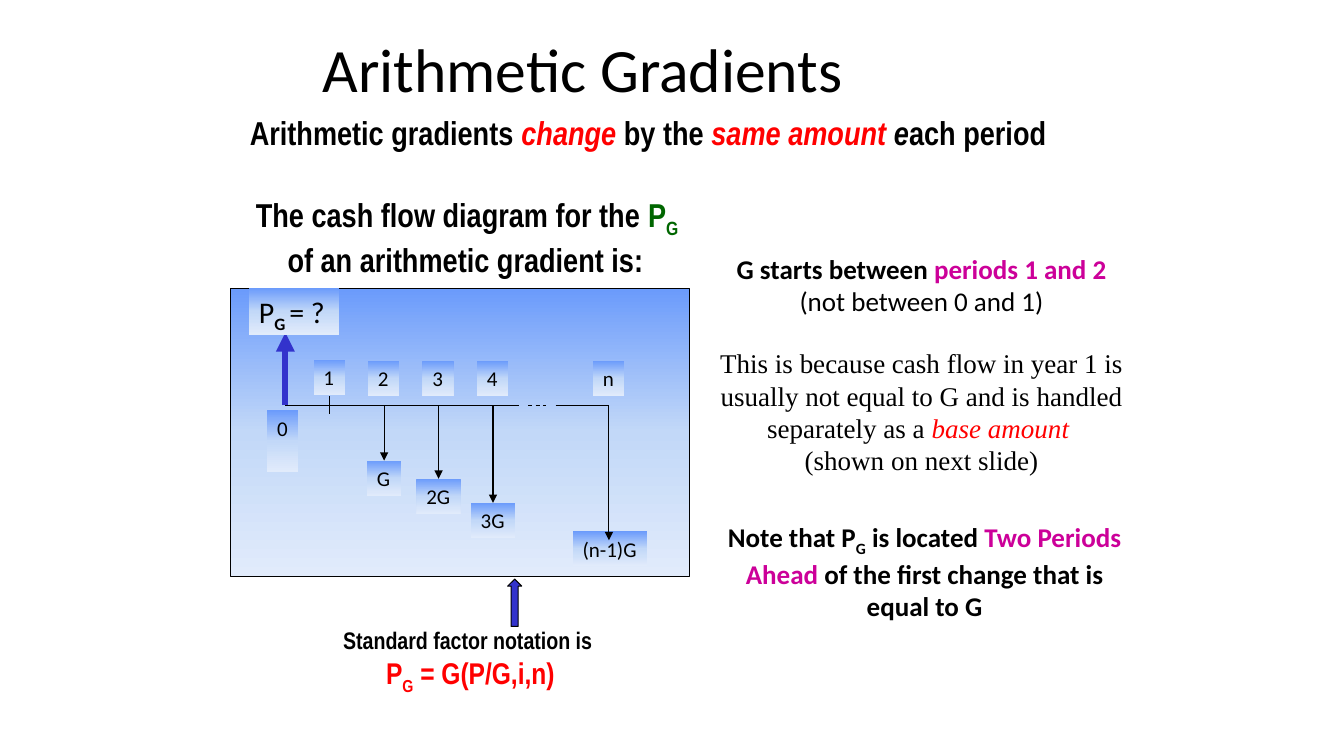
from copy import deepcopy

from lxml import etree
from pptx import Presentation
from pptx import util as u
from pptx.dml.color import RGBColor
from pptx.enum import dml, shapes, text
from pptx.oxml.ns import qn

PX = 9144  # 100 px to the inch
COLORS = {
    "black": "000000", "red": "FF0000", "green": "006600", "magenta": "CC0099",
    "indigo": "3333CC", "top": "6B9BFB", "middle": "C2D8F8", "bottom": "E1EBFB",
}
AXIS_Y = 402
FIRST_PERIOD_X, PERIOD_STEP = 327, 54
PRESENT_X, LAST_X = 283, 604


def px(*lengths):
    return [u.Emu(length * PX) for length in lengths]


def color(name):
    return RGBColor.from_string(COLORS[name])


def write(frame, paragraphs, size, font="Calibri", bold=False, align="LEFT",
          anchor="TOP", wrap=True, spacing=None, before=None):
    """Each paragraph is a list of runs: a string, or (string, format changes)."""
    frame.word_wrap = wrap
    frame.vertical_anchor = getattr(text.MSO_ANCHOR, anchor)
    for index, runs in enumerate(paragraphs):
        paragraph = frame.paragraphs[0] if index == 0 else frame.add_paragraph()
        paragraph.alignment = getattr(text.PP_ALIGN, align)
        if spacing:
            paragraph.line_spacing = spacing
        if before and index in before:
            paragraph.space_before = u.Pt(before[index])
        for item in runs:
            words, changes = (item, {}) if isinstance(item, str) else item
            run = paragraph.add_run()
            run.text = words
            run.font.name = changes.get("font", font)
            run.font.size = u.Pt(changes.get("size", size))
            run.font.bold = changes.get("bold", bold)
            run.font.italic = changes.get("italic", False)
            run.font.color.rgb = color(changes.get("color", "black"))
            if changes.get("sub"):
                run.font._element.set("baseline", "-25000")


def add_text(slide, box, paragraphs, **style):
    frame = slide.shapes.add_textbox(*px(*box)).text_frame
    write(frame, paragraphs, **style)


def add_gradient_box(slide, box, outlined=False):
    panel = slide.shapes.add_shape(shapes.MSO_SHAPE.RECTANGLE, *px(*box))
    panel.shadow.inherit = False
    panel.fill.gradient()
    panel.fill.gradient_angle = 270
    stop_list = panel._element.spPr.find(".//" + qn("a:gsLst"))
    stop_list.insert(1, deepcopy(stop_list[0]))
    for stop, position, name in zip(panel.fill.gradient_stops, (0, 0.5, 1),
                                    ("top", "middle", "bottom")):
        stop.position = position
        stop.color.rgb = color(name)
    if outlined:
        panel.line.color.rgb = color("black")
        panel.line.width = u.Pt(0.75)
    else:
        panel.line.fill.background()
    return panel


def add_label(slide, box, runs, size=15):
    label = add_gradient_box(slide, box)
    write(label.text_frame, [runs], size=size, wrap=False)
    return label


def add_line(slide, start, end, name="black", width=0.75, arrow=False,
             dashed=False, target=None):
    line = slide.shapes.add_connector(shapes.MSO_CONNECTOR.STRAIGHT,
                                      *px(*start, *end))
    line.line.color.rgb = color(name)
    line.line.width = u.Pt(width)
    if dashed:
        line.line.dash_style = dml.MSO_LINE.DASH
    if arrow:
        etree.SubElement(line.line._get_or_add_ln(), qn("a:tailEnd"), type="triangle")
    etree.SubElement(line._element.spPr, qn("a:effectLst"))
    if target is not None:
        line.end_connect(target, 0)


def add_cash_flow_diagram(slide):
    add_gradient_box(slide, (229, 286, 455, 286), outlined=True)

    # Time axis, broken before the last period
    add_line(slide, (PRESENT_X, AXIS_Y), (515, AXIS_Y))
    add_line(slide, (524, AXIS_Y), (542, AXIS_Y), dashed=True)
    add_line(slide, (551, AXIS_Y), (LAST_X, AXIS_Y))
    add_line(slide, (FIRST_PERIOD_X, 393), (FIRST_PERIOD_X, 411))

    # Period labels
    add_label(slide, (265, 407, 31, 61), ["0"])
    for period in range(1, 5):
        x = FIRST_PERIOD_X + PERIOD_STEP * (period - 1)
        add_label(slide, (x - 16, 357 if period == 1 else 358, 31, 35), [str(period)])
    add_label(slide, (LAST_X - 16, 358, 31, 35), ["n"])

    # Growing cash flows
    flows = [("G", 457, 34), ("2G", 475, 44), ("3G", 499, 44)]
    for step, (amount, top, width) in enumerate(flows, start=1):
        x = FIRST_PERIOD_X + PERIOD_STEP * step
        flow = add_label(slide, (x - width // 2, top, width, 35), [amount])
        add_line(slide, (x, AXIS_Y), (x, top), arrow=True, target=flow)
    add_label(slide, (568, 527, 74, 35), ["(n-1)G"])
    add_line(slide, (LAST_X, AXIS_Y), (LAST_X, 536), arrow=True)

    # Present worth
    add_line(slide, (PRESENT_X, AXIS_Y), (PRESENT_X, 330), "indigo", 4.5, arrow=True)
    add_label(slide, (247, 286, 89, 46),
              ["P", ("G ", {"bold": True, "sub": True}), "= ?"], size=21.4)


def add_notation_arrow(slide):
    arrow = slide.shapes.add_shape(shapes.MSO_SHAPE.RIGHT_ARROW, *px(487, 591, 47, 14))
    arrow.rotation = 270
    arrow.shadow.inherit = False
    arrow.fill.solid()
    arrow.fill.fore_color.rgb = color("indigo")
    arrow.line.color.rgb = color("black")
    arrow.line.width = u.Pt(0.75)


def main():
    deck = Presentation()
    deck.slide_width, deck.slide_height = px(1333, 750)
    slide = deck.slides.add_slide(deck.slide_layouts[6])
    red_italic = {"color": "red", "italic": True}
    magenta = {"color": "magenta"}

    # Headings
    add_text(slide, (310, 27, 714, 89), [["Arithmetic Gradients"]],
             size=44, anchor="MIDDLE", spacing=0.9)
    add_text(slide, (238, 107, 857, 50),
             [["Arithmetic gradients ", ("change", red_italic), " by the ",
               ("same amount ", red_italic), ("e", {"italic": True}), "ach period"]],
             size=23.6, font="Arial Narrow", bold=True)
    add_text(slide, (238, 188, 455, 89),
             [["The cash flow diagram for the ", ("P", {"color": "green"}),
               ("G ", {"color": "green", "sub": True})],
              ["of an arithmetic gradient is: "]],
             size=23.6, font="Arial Narrow", bold=True, align="CENTER")

    add_cash_flow_diagram(slide)

    # Explanations
    serif = {"font": "Times New Roman"}
    add_text(slide, (695, 232, 438, 259),
             [[("G starts between ", {"bold": True}),
               ("periods 1 and 2", {"bold": True, **magenta})],
              ["(not between 0 and 1)"],
              [("This is because cash flow in year 1 is usually not equal to G "
                "and is handled separately as a ", serif),
               ("base amount ", {**serif, **red_italic})],
              [("(shown on next slide)", serif)]],
             size=19.3, align="CENTER", anchor="MIDDLE", before={2: 21})
    add_text(slide, (698, 509, 438, 116),
             [["Note that P", ("G", {"sub": True}), " is located ",
               ("Two Periods Ahead", magenta),
               " of the first change that is equal to G"]],
             size=19.3, bold=True, align="CENTER", anchor="MIDDLE")

    # Factor notation
    formula = {"size": 21.4, "color": "red"}
    add_text(slide, (292, 616, 349, 75),
             [["Standard factor notation is "],
              [("P", formula), ("G", {**formula, "sub": True}),
               (" = G(P/G,i,n)", formula)]],
             size=17.1, font="Arial Narrow", bold=True, align="CENTER")
    add_notation_arrow(slide)

    deck.save("out.pptx")


if __name__ == "__main__":
    main()
